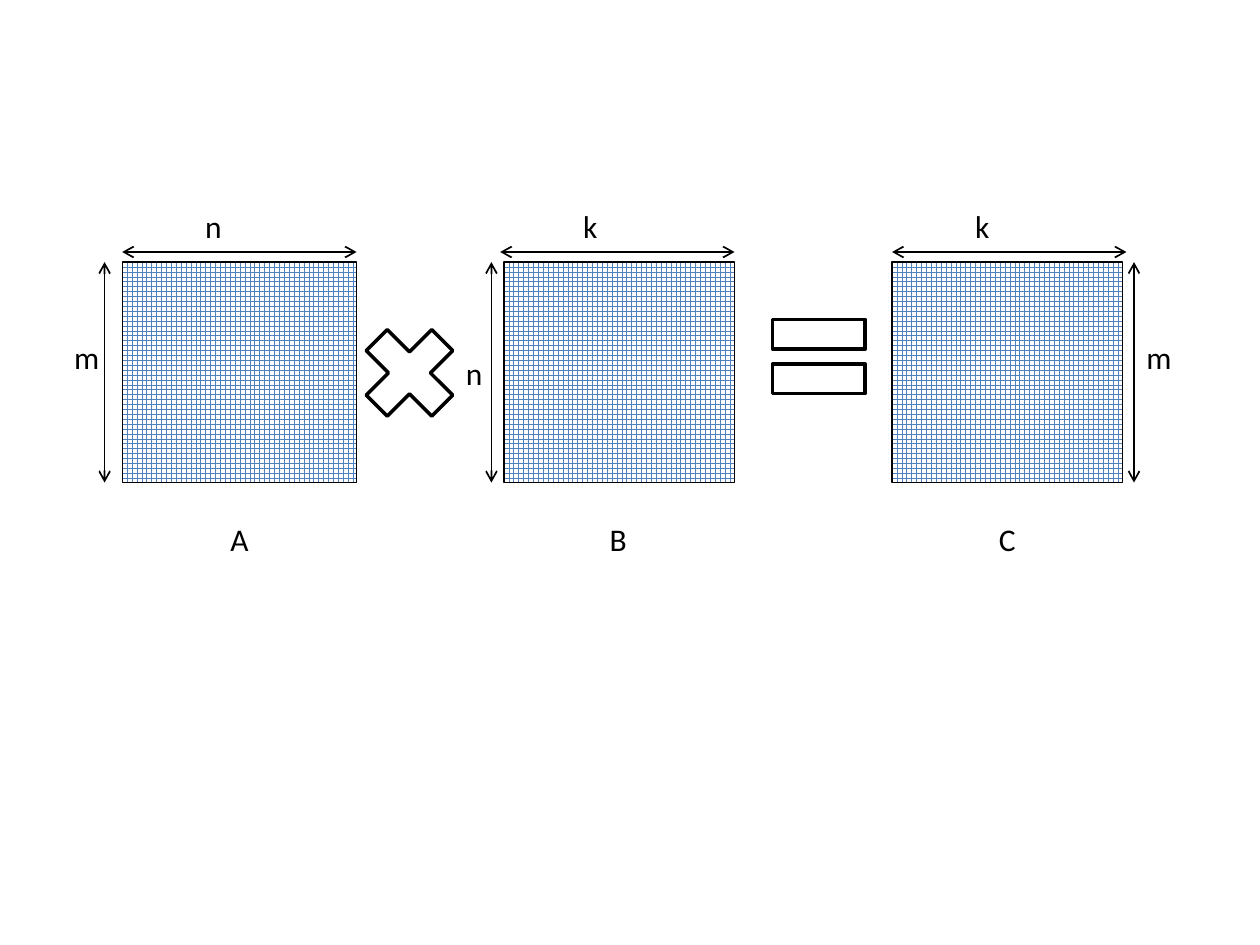
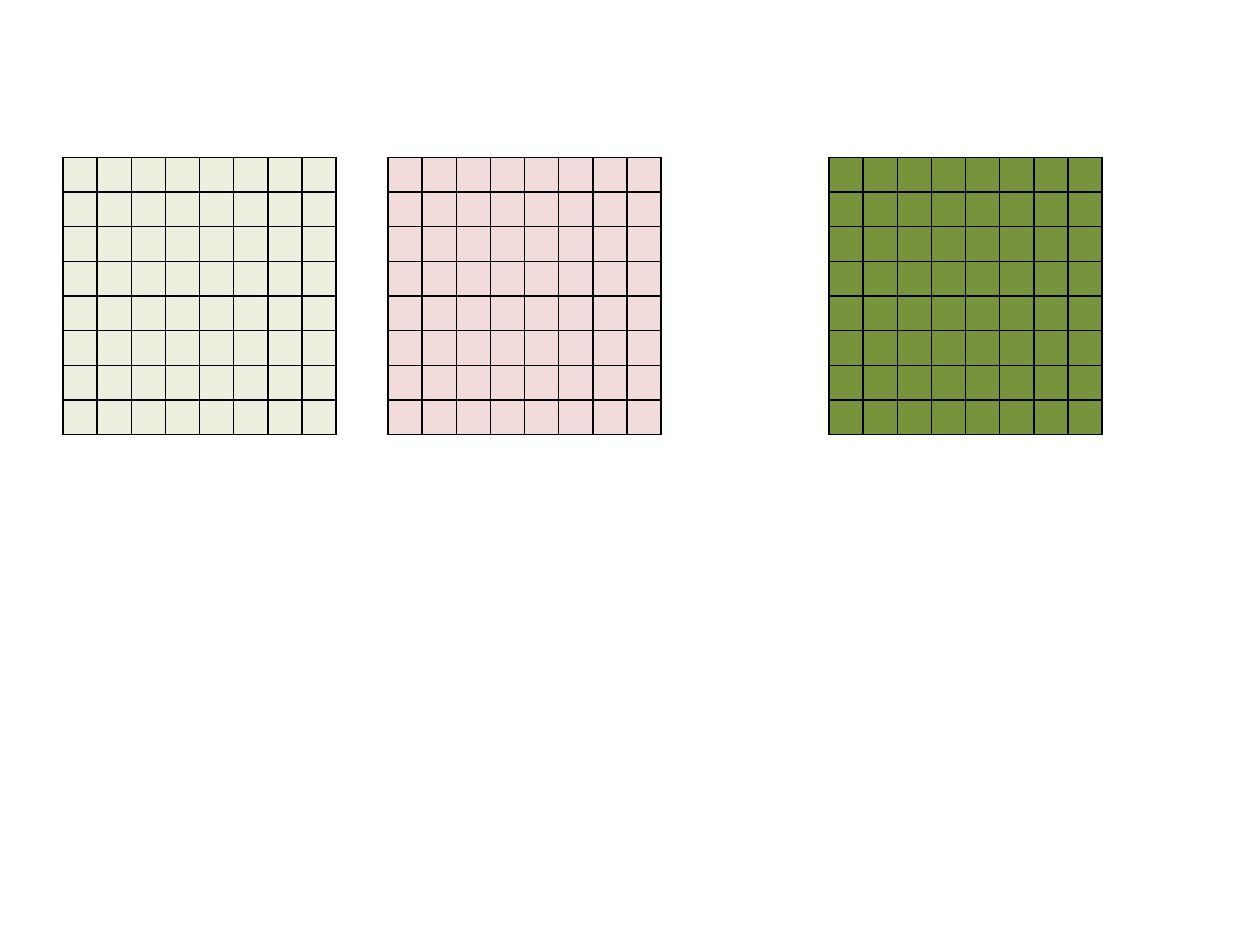
from typing import NamedTuple

from lxml import etree
from pptx import Presentation
from pptx.dml.color import RGBColor
from pptx.enum.dml import MSO_PATTERN
from pptx.enum.shapes import MSO_CONNECTOR, MSO_SHAPE
from pptx.enum.text import MSO_ANCHOR, MSO_AUTO_SIZE
from pptx.oxml.ns import qn
from pptx.util import Inches, Pt

RECT = MSO_SHAPE.RECTANGLE
TIMES = MSO_SHAPE.MATH_MULTIPLY
EQUAL = MSO_SHAPE.MATH_EQUAL
STRAIGHT = MSO_CONNECTOR.STRAIGHT
GRID = MSO_PATTERN.LARGE_GRID
MIDDLE = MSO_ANCHOR.MIDDLE
FIT = MSO_AUTO_SIZE.SHAPE_TO_FIT_TEXT

COLORS = {
    "ink": "000000",
    "paper": "FFFFFF",
    "mesh": "4F81BD",
    "mint": "EBF1DE",
    "rose": "F2DCDB",
    "moss": "77933C",
}
FONT = "Calibri"
BLANK = 6

# Matrix row on the first slide
TOP, HIGH = 2.08, 1.75
SPAN_TOP, SPAN = 2.0, 1.86
SIGN = 1.0

# Cell grids on the second slide
COUNT = 8
GRID_TOP, GRID_WIDE, GRID_HIGH = 1.25, 2.17, 2.2


class Label(NamedTuple):
    text: str
    left: float
    top: float
    width: float


class Matrix(NamedTuple):
    left: float
    width: float
    span: float  # left end of the width arrow
    side: float  # place of the height arrow
    name: Label
    cols: Label
    rows: Label


class Grid(NamedTuple):
    left: float
    fill: str


MATRICES = [
    Matrix(0.97, 1.86, 0.97, 0.83, Label("A", 1.73, 4.08, 0.35),
           Label("n", 1.53, 1.59, 0.34), Label("m", 0.49, 2.63, 0.4)),
    Matrix(4, 1.83, 3.97, 3.9, Label("B", 4.74, 4.08, 0.35),
           Label("k", 4.53, 1.59, 0.32), Label("n", 3.6, 2.76, 0.34)),
    Matrix(7.08, 1.83, 7.08, 9, Label("C", 7.83, 4.08, 0.35),
           Label("k", 7.64, 1.59, 0.32), Label("m", 9, 2.63, 0.4)),
]
GRIDS = [Grid(0.5, "mint"), Grid(3.08, "rose"), Grid(6.58, "moss")]


def color(name: str) -> RGBColor:
    return RGBColor.from_string(COLORS[name])


def add_shape(slide, kind, left: float, top: float, width: float,
              height: float, weight: float):
    """Add an outlined shape without fill or shadow."""
    shape = slide.shapes.add_shape(
        kind, Inches(left), Inches(top), Inches(width), Inches(height))
    shape.shadow.inherit = False
    shape.fill.background()
    shape.line.color.rgb = color("ink")
    shape.line.width = Pt(weight)
    return shape


def add_label(slide, label: Label) -> None:
    box = slide.shapes.add_textbox(
        Inches(label.left), Inches(label.top), Inches(label.width), Inches(0.4))
    frame = box.text_frame
    frame.text = label.text
    frame.word_wrap = False
    frame.auto_size = FIT
    font = frame.paragraphs[0].runs[0].font
    font.name, font.size = FONT, Pt(18)
    font.color.rgb = color("ink")


def add_arrow(slide, x1: float, y1: float, x2: float, y2: float) -> None:
    """Add a line with an arrowhead at both ends."""
    arrow = slide.shapes.add_connector(
        STRAIGHT, Inches(x1), Inches(y1), Inches(x2), Inches(y2))
    arrow.line.color.rgb = color("ink")
    arrow.line.width = Pt(1)
    props = arrow._element.spPr
    line = props.find(qn("a:ln"))
    for end in ("a:headEnd", "a:tailEnd"):
        etree.SubElement(line, qn(end), type="arrow")
    etree.SubElement(props, qn("a:effectLst"))


def add_matrix(slide, item: Matrix) -> None:
    shape = add_shape(slide, RECT, item.left, TOP, item.width, HIGH, 0.75)
    shape.fill.patterned()
    shape.fill.pattern = GRID
    shape.fill.fore_color.rgb = color("mesh")
    shape.fill.back_color.rgb = color("paper")
    add_arrow(slide, item.side, TOP, item.side, TOP + HIGH)
    add_arrow(slide, item.span + SPAN, SPAN_TOP, item.span, SPAN_TOP)
    for label in (item.name, item.cols, item.rows):
        add_label(slide, label)


def style_cell(cell, fill: str) -> None:
    props = cell._tc.get_or_add_tcPr()
    for side in ("a:lnL", "a:lnR", "a:lnT", "a:lnB"):
        line = etree.SubElement(props, qn(side), w=str(Pt(1)))
        solid = etree.SubElement(line, qn("a:solidFill"))
        etree.SubElement(solid, qn("a:srgbClr"), val=COLORS["ink"])
    cell.fill.solid()
    cell.fill.fore_color.rgb = color(fill)
    cell.margin_top = cell.margin_bottom = 0
    cell.vertical_anchor = MIDDLE
    # The end mark sets the line height of an empty cell
    para = cell.text_frame.paragraphs[0]._p
    etree.SubElement(para, qn("a:endParaRPr"), sz="1000")


def add_grid(slide, grid: Grid) -> None:
    table = slide.shapes.add_table(
        COUNT, COUNT, Inches(grid.left), Inches(GRID_TOP),
        Inches(GRID_WIDE), Inches(GRID_HIGH)).table
    table.first_row = table.horz_banding = False
    for col in table.columns:
        col.width = Inches(GRID_WIDE / COUNT)
    for row in table.rows:
        row.height = Inches(GRID_HIGH / COUNT)
    for cell in table.iter_cells():
        style_cell(cell, grid.fill)


def main() -> None:
    deck = Presentation()
    deck.slide_width, deck.slide_height = Inches(10), Inches(7.5)
    layout = deck.slide_layouts[BLANK]

    product = deck.slides.add_slide(layout)
    for item in MATRICES:
        add_matrix(product, item)
    times = add_shape(product, TIMES, 2.75, 2.46, SIGN, SIGN, 2)
    times.fill.solid()
    times.fill.fore_color.rgb = color("paper")
    add_shape(product, EQUAL, 6, 2.33, SIGN, SIGN, 2)

    cells = deck.slides.add_slide(layout)
    for grid in GRIDS:
        add_grid(cells, grid)

    deck.save("out.pptx")


if __name__ == "__main__":
    main()
